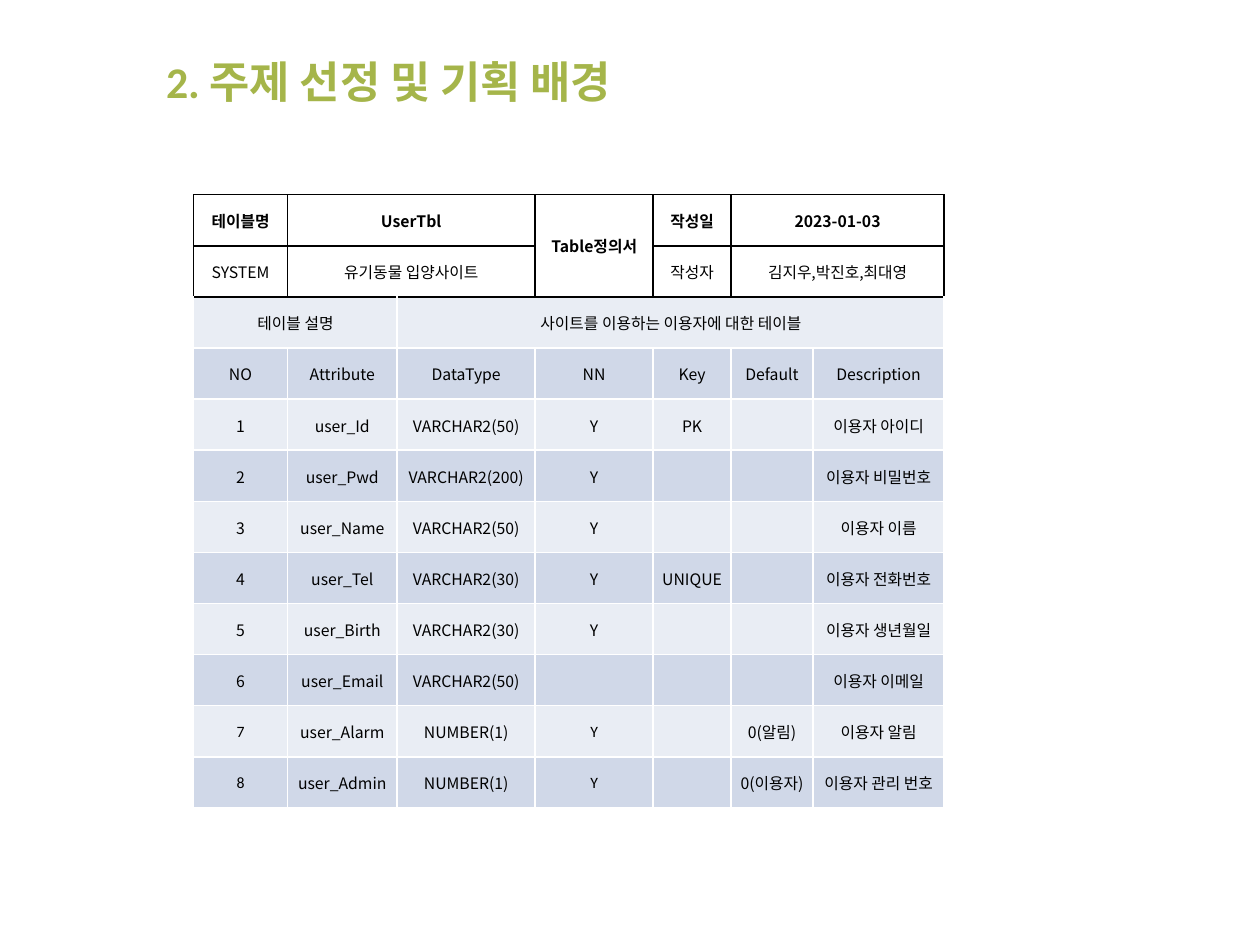
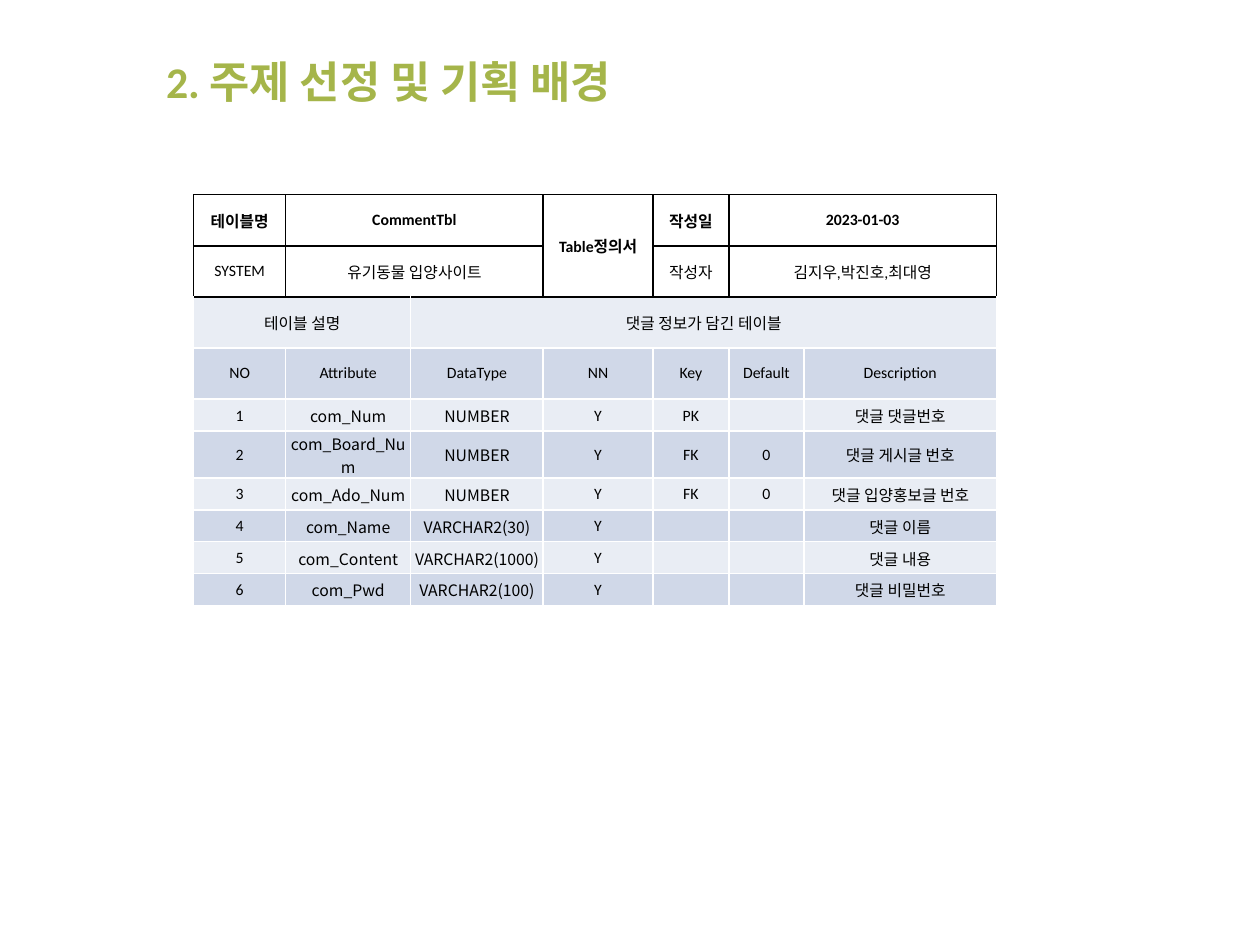
from lxml import etree
from pptx import Presentation
from pptx.dml import color as dml
from pptx.enum import text
from pptx.oxml import ns
from pptx.util import Pt

GREEN, BLACK, WHITE = "A5B54A", "000000", "FFFFFF"
BANDS = ["E9EDF4", "D0D8E8"]
LATIN, KOREAN = "Calibri", "Noto Sans CJK KR"
HEADER_ROWS, BODY_START = 2, 4
ROW_HEIGHT = 29.2
TIGHT = {"margin_left": Pt(0.7), "margin_right": Pt(0.7), "margin_top": Pt(0.7), "margin_bottom": 0}
# Merged cells: first row, first column, last row, last column
SPANS = [(0, 1, 0, 2), (0, 3, 1, 3), (0, 5, 0, 6), (1, 1, 1, 2), (1, 5, 1, 6), (2, 0, 2, 1), (2, 2, 2, 6)]


def rgb(value):
    return dml.RGBColor.from_string(value)


def write(paragraph, wording, size, face, shade, bold):
    run = paragraph.add_run()
    run.text = wording
    for key, value in {"size": Pt(size), "bold": bold, "name": face}.items():
        setattr(run.font, key, value)
    run.font.color.rgb = rgb(shade)
    etree.SubElement(run.font._element, ns.qn("a:ea"), typeface=KOREAN)


# Content of the two table definitions
definitions = [
    {
        "name": "UserTbl",
        "about": "사이트를 이용하는 이용자에 대한 테이블",
        "columns": [53.5, 62.8, 78.8, 67.5, 44.5, 46.8, 75],
        "body_heights": [ROW_HEIGHT] * 8,
        "is_latin": lambda r, c: r >= 10 and c in (0, 3),
        "fields": [
            ["user_Id", "VARCHAR2(50)", "Y", "PK", "", "이용자 아이디"],
            ["user_Pwd", "VARCHAR2(200)", "Y", "", "", "이용자 비밀번호"],
            ["user_Name", "VARCHAR2(50)", "Y", "", "", "이용자 이름"],
            ["user_Tel", "VARCHAR2(30)", "Y", "UNIQUE", "", "이용자 전화번호"],
            ["user_Birth", "VARCHAR2(30)", "Y", "", "", "이용자 생년월일"],
            ["user_Email", "VARCHAR2(50)", "", "", "", "이용자 이메일"],
            ["user_Alarm", "NUMBER(1)", "Y", "", "0(알림)", "이용자 알림"],
            ["user_Admin", "NUMBER(1)", "Y", "", "0(이용자)", "이용자 관리 번호"],
        ],
    },
    {
        "name": "CommentTbl",
        "about": "댓글 정보가 담긴 테이블",
        "columns": [52.5, 71.5, 75.7, 62.8, 43.3, 43, 110],
        "body_heights": [18.2, 26.9, 18.2, 18.2, 18.2, 18.2],
        "is_latin": lambda r, c: r < BODY_START or c in (0, 3, 4, 5),
        "fields": [
            ["com_Num", "NUMBER", "Y", "PK", "", "댓글 댓글번호"],
            ["com_Board_Num", "NUMBER", "Y", "FK", "0", "댓글 게시글 번호"],
            ["com_Ado_Num", "NUMBER", "Y", "FK", "0", "댓글 입양홍보글 번호"],
            ["com_Name", "VARCHAR2(30)", "Y", "", "", "댓글 이름"],
            ["com_Content", "VARCHAR2(1000)", "Y", "", "", "댓글 내용"],
            ["com_Pwd", "VARCHAR2(100)", "Y", "", "", "댓글 비밀번호"],
        ],
    },
]

deck = Presentation()
deck.slide_width, deck.slide_height = Pt(720), Pt(540)

for definition in definitions:
    slide = deck.slides.add_slide(deck.slide_layouts[6])

    # Title
    title = slide.shapes.add_textbox(Pt(87.8), Pt(18), Pt(596.2), Pt(56.9)).text_frame
    title.word_wrap = True
    title.vertical_anchor = text.MSO_ANCHOR.MIDDLE
    write(title.paragraphs[0], "2. 주제 선정 및 기획 배경", 25, LATIN, GREEN, True)

    # Rows: heading block, description, column names, fields
    rows = [
        ["테이블명", definition["name"], "", "Table정의서", "작성일", "2023-01-03", ""],
        ["SYSTEM", "유기동물 입양사이트", "", "", "작성자", "김지우,박진호,최대영", ""],
        ["테이블 설명", "", definition["about"], "", "", "", ""],
        ["NO", "Attribute", "DataType", "NN", "Key", "Default", "Description"],
    ]
    rows += [[str(number), *field] for number, field in enumerate(definition["fields"], 1)]
    widths = definition["columns"]
    heights = [ROW_HEIGHT] * BODY_START + definition["body_heights"]

    # Table grid
    grid = slide.shapes.add_table(len(rows), len(widths), Pt(110.7), Pt(111.3),
                                  Pt(sum(widths)), Pt(sum(heights))).table
    grid.first_row = grid.horz_banding = False
    for column, width in zip(grid.columns, widths):
        column.width = Pt(width)
    for row, height in zip(grid.rows, heights):
        row.height = Pt(height)
    for top, left, bottom, right in SPANS:
        grid.cell(top, left).merge(grid.cell(bottom, right))

    # Cells: wording, borders, fill
    for r, row in enumerate(rows):
        for c, wording in enumerate(row):
            cell = grid.cell(r, c)
            cell.vertical_anchor = text.MSO_ANCHOR.MIDDLE
            if r >= BODY_START:
                for key, value in TIGHT.items():
                    setattr(cell, key, value)
            paragraph = cell.text_frame.paragraphs[0]
            paragraph.alignment = text.PP_ALIGN.CENTER
            if wording:
                face = LATIN if definition["is_latin"](r, c) else KOREAN
                write(paragraph, wording, 9, face, BLACK, r == 0)
            else:
                etree.SubElement(paragraph._p, ns.qn("a:endParaRPr"), sz="900")

            for side in "LRTB":
                dark = r < HEADER_ROWS or (r == HEADER_ROWS and side == "T")
                border = etree.SubElement(cell._tc.get_or_add_tcPr(), ns.qn(f"a:ln{side}"), w=str(Pt(1)))
                paint = etree.SubElement(border, ns.qn("a:solidFill"))
                etree.SubElement(paint, ns.qn("a:srgbClr"), val=BLACK if dark else WHITE)

            if r < HEADER_ROWS:
                cell.fill.background()
            else:
                cell.fill.solid()
                cell.fill.fore_color.rgb = rgb(BANDS[r % 2])

deck.save("out.pptx")
